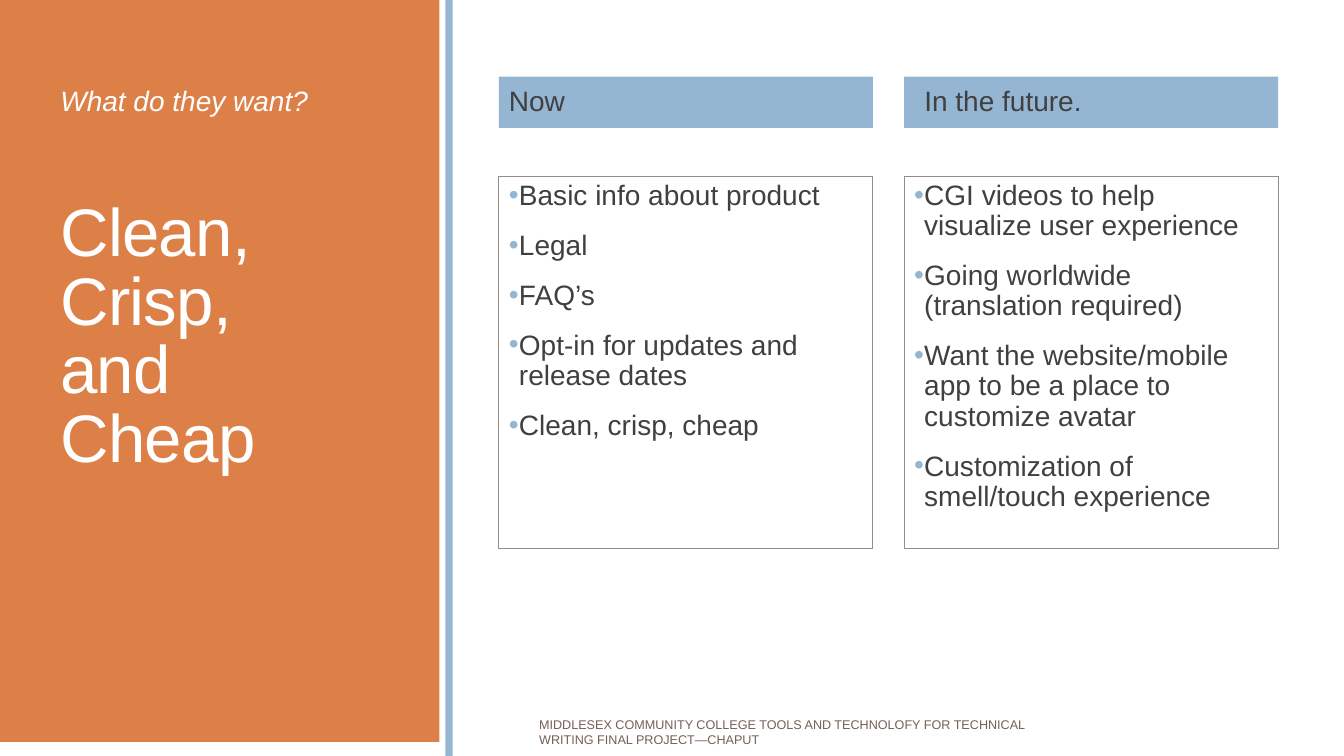
"""Build the slide on what the client wants now and in the future."""
from dataclasses import dataclass

from lxml import etree
from pptx import Presentation
from pptx.dml.color import RGBColor
from pptx.enum.shapes import MSO_SHAPE
from pptx.enum.text import MSO_ANCHOR, PP_ALIGN
from pptx.oxml.ns import qn
from pptx.util import Pt

RECT = MSO_SHAPE.RECTANGLE
TOP, MIDDLE, BOTTOM = MSO_ANCHOR.TOP, MSO_ANCHOR.MIDDLE, MSO_ANCHOR.BOTTOM
LEFT = PP_ALIGN.LEFT

ORANGE = RGBColor(0xDD, 0x80, 0x47)
BLUE = RGBColor(0x94, 0xB6, 0xD2)
WHITE = RGBColor(0xFF, 0xFF, 0xFF)
DARK = RGBColor(0x40, 0x40, 0x40)
BROWN = RGBColor(0x77, 0x5F, 0x55)
GRAY = RGBColor(0x96, 0x8C, 0x8C)

INSET = 7.2
HEAD_Y, HEAD_H = 54.72, 36.72
LIST_Y, LIST_H = 126, 265.68
COL_X, COL_W, COL_STEP = 356.4, 267.12, 289.44


@dataclass
class Box:
    x: float
    y: float
    w: float
    h: float
    fill: RGBColor | None = None
    line: RGBColor | None = None


@dataclass
class Style:
    size: float = 20
    color: RGBColor = DARK
    anchor: MSO_ANCHOR = MIDDLE
    inset: float = INSET
    lead: float = 0.9
    track: int = 0
    italic: bool = False
    bullet: bool = False


@dataclass
class Column:
    head: str
    inset: float
    items: list[str]


COLUMNS = [
    Column("Now", INSET, [
        "Basic info about product",
        "Legal",
        "FAQ’s",
        "Opt-in for updates and release dates",
        "Clean, crisp, cheap",
    ]),
    Column("In the future.", 2 * INSET, [
        "CGI videos to help visualize user experience",
        "Going worldwide (translation required)",
        "Want the website/mobile app to be a place to customize avatar",
        "Customization of smell/touch experience",
    ]),
]


def add_box(slide, box: Box):
    """Add a rectangle, or a plain text box if it has no fill."""
    place = [Pt(n) for n in (box.x, box.y, box.w, box.h)]
    if box.fill is None:
        return slide.shapes.add_textbox(*place)
    shape = slide.shapes.add_shape(RECT, *place)
    shape.shadow.inherit = False
    shape.fill.solid()
    shape.fill.fore_color.rgb = box.fill
    if box.line is None:
        shape.line.fill.background()
    else:
        shape.line.color.rgb = box.line
        shape.line.width = Pt(0.75)
    return shape


def add_bullet(para) -> None:
    """Give a paragraph a blue bullet and a hanging indent."""
    props = para._p.get_or_add_pPr()
    props.set("marL", str(Pt(INSET)))
    props.set("indent", str(-Pt(INSET)))
    tint = etree.SubElement(props, qn("a:buClr"))
    etree.SubElement(tint, qn("a:srgbClr"), val=str(BLUE))
    etree.SubElement(props, qn("a:buFont"), typeface="Arial")
    etree.SubElement(props, qn("a:buChar"), char="•")


def add_text(shape, lines: list[str], style: Style) -> None:
    """Write styled paragraphs into a shape."""
    frame = shape.text_frame
    frame.text = "\n".join(lines)
    frame.word_wrap = True
    frame.vertical_anchor = style.anchor
    frame.margin_left, frame.margin_right = Pt(style.inset), Pt(INSET)
    for index, para in enumerate(frame.paragraphs):
        para.alignment = LEFT
        para.line_spacing = style.lead
        if index:
            para.space_before = Pt(12)
        if style.bullet:
            para.space_after = Pt(2)
            add_bullet(para)
        for run in para.runs:
            font = run.font
            font.name = "Arial"
            font.size = Pt(style.size)
            font.color.rgb = style.color
            font.italic = style.italic
            if style.track:
                run._r.get_or_add_rPr().set("spc", str(style.track))


def add_column(slide, x: float, col: Column) -> None:
    """Draw a heading bar and the list below it."""
    head = add_box(slide, Box(x, HEAD_Y, COL_W, HEAD_H, BLUE))
    add_text(head, [col.head], Style(inset=col.inset))
    body = add_box(slide, Box(x, LIST_Y, COL_W, LIST_H, WHITE, GRAY))
    add_text(body, col.items, Style(anchor=TOP, bullet=True))


def main() -> None:
    """Build and save the deck."""
    deck = Presentation()
    deck.slide_width, deck.slide_height = Pt(960), Pt(540)
    slide = deck.slides.add_slide(deck.slide_layouts[6])

    add_box(slide, Box(0, 0, 313.92, 529.92, ORANGE))
    add_box(slide, Box(318.24, 0, 5.04, 540, BLUE))

    title = add_box(slide, Box(36, LIST_Y, 252, 217.44))
    add_text(title, ["Clean,\vCrisp,\vand\vCheap"],
             Style(48, WHITE, BOTTOM, lead=0.85, track=-50))
    ask = add_box(slide, Box(36, HEAD_Y, 253.44, HEAD_H))
    add_text(ask, ["What do they want?"], Style(color=WHITE, italic=True))

    for index, col in enumerate(COLUMNS):
        add_column(slide, COL_X + index * COL_STEP, col)

    foot = add_box(slide, Box(378, 508.32, 365.76, 28.8))
    add_text(foot, ["MIDDLESEX COMMUNITY COLLEGE TOOLS AND TECHNOLOFY "
                    "FOR TECHNICAL WRITING FINAL PROJECT—CHAPUT"],
             Style(9, BROWN, lead=1.0))
    deck.save("out.pptx")


if __name__ == "__main__":
    main()
